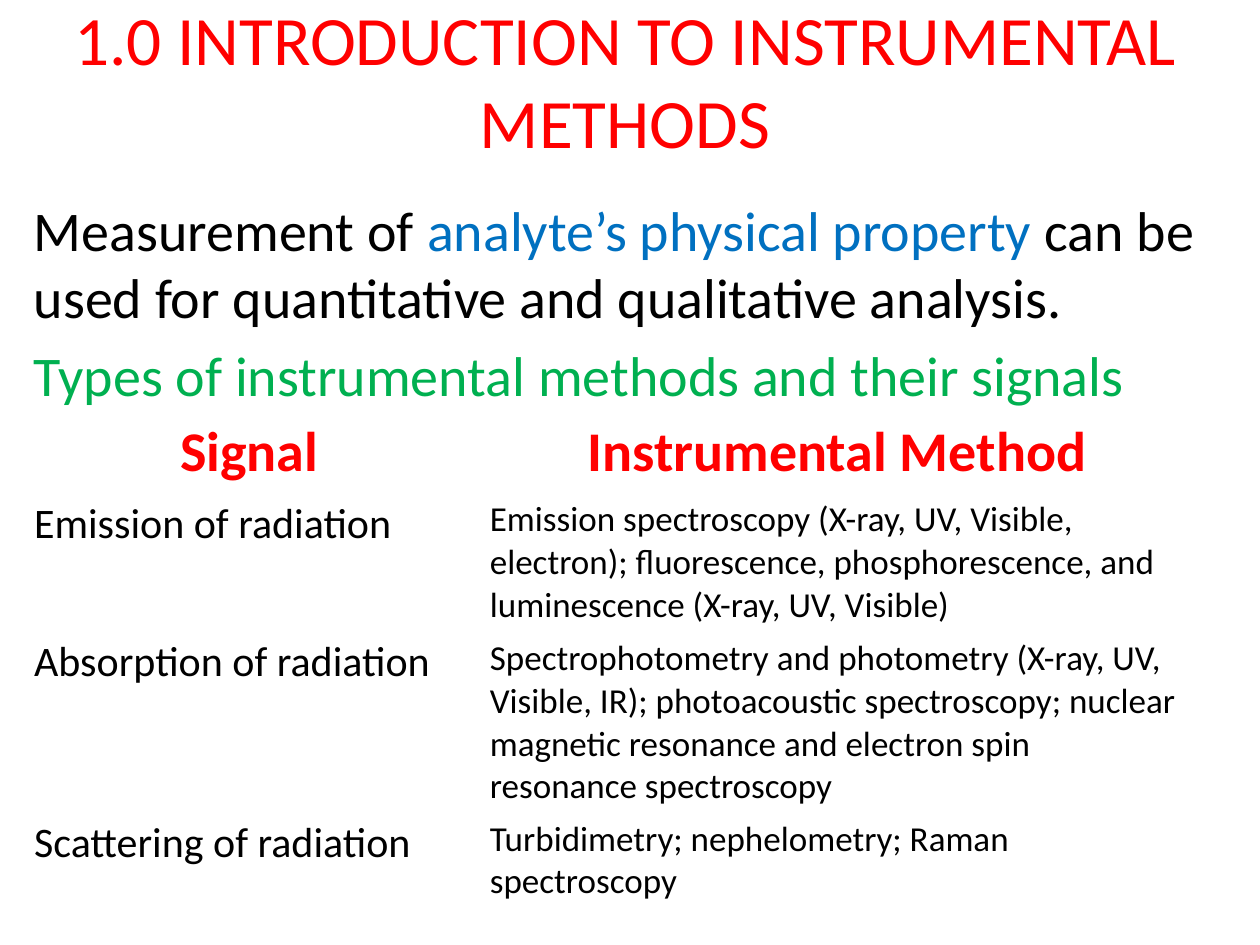
from pptx import Presentation
from pptx.dml.color import RGBColor
from pptx.enum.text import MSO_ANCHOR as Anchor, PP_ALIGN as Align
from pptx.util import Pt

RED = RGBColor(0xFF, 0x00, 0x00)
BLUE = RGBColor(0x00, 0x70, 0xC0)
GREEN = RGBColor(0x00, 0xB0, 0x50)
BLACK = RGBColor(0x00, 0x00, 0x00)

LEFT = Pt(12.24)
TEXT_WIDTH = Pt(690)


def add_run(paragraph, text, size, color, bold=False):
    run = paragraph.add_run()
    run.text = text
    font_format = {"name": "Calibri", "size": Pt(size), "bold": bold}
    for attribute, value in font_format.items():
        setattr(run.font, attribute, value)
    run.font.color.rgb = color


deck = Presentation()
deck.slide_width, deck.slide_height = Pt(720), Pt(540)
slide = deck.slides.add_slide(deck.slide_layouts[6])

# Title
title = slide.shapes.add_textbox(LEFT, Pt(12.24), TEXT_WIDTH, Pt(66)).text_frame
title.word_wrap = True
title.vertical_anchor = Anchor.MIDDLE
title.paragraphs[0].alignment = Align.CENTER
add_run(title.paragraphs[0], "1.0 INTRODUCTION TO INSTRUMENTAL METHODS", 39.6, RED)

# Introduction
intro = slide.shapes.add_textbox(LEFT, Pt(108), TEXT_WIDTH, Pt(414)).text_frame
intro.word_wrap = True
statement = intro.paragraphs[0]
for text, color in [
    ("Measurement of ", BLACK),
    ("analyte’s physical property", BLUE),
    (" can be used for quantitative and qualitative analysis.", BLACK),
]:
    add_run(statement, text, 32, color)
subheading = intro.add_paragraph()
subheading.space_before = Pt(6.4)
add_run(subheading, "Types of instrumental methods and their signals", 32, GREEN)

# Signals and methods
METHODS = [
    ("Signal", "Instrumental Method"),
    ("Emission of radiation",
     "Emission spectroscopy (X-ray, UV, Visible, electron); fluorescence, "
     "phosphorescence, and luminescence (X-ray, UV, Visible)"),
    ("Absorption of radiation",
     "Spectrophotometry and photometry (X-ray, UV, Visible, IR); photoacoustic "
     "spectroscopy; nuclear magnetic resonance and electron spin resonance spectroscopy"),
    ("Scattering of radiation",
     "Turbidimetry; nephelometry; Raman spectroscopy"),
]
COLUMN_WIDTHS = (260.5, 411.5)
BODY_SIZES = (24, 20)
ROW_HEIGHT = 35.3

methods = slide.shapes.add_table(
    len(METHODS), len(COLUMN_WIDTHS), LEFT, Pt(235.5),
    Pt(sum(COLUMN_WIDTHS)), Pt(ROW_HEIGHT * len(METHODS))).table
methods.first_row = methods.horz_banding = False
for column, width in zip(methods.columns, COLUMN_WIDTHS):
    column.width = Pt(width)

for row_index, entries in enumerate(METHODS):
    methods.rows[row_index].height = Pt(ROW_HEIGHT)
    for column_index, text in enumerate(entries):
        cell = methods.cell(row_index, column_index)
        cell.fill.background()
        paragraph = cell.text_frame.paragraphs[0]
        if row_index == 0:
            paragraph.alignment = Align.CENTER
            add_run(paragraph, text, 32, RED, bold=True)
        else:
            add_run(paragraph, text, BODY_SIZES[column_index], BLACK)

deck.save("out.pptx")
